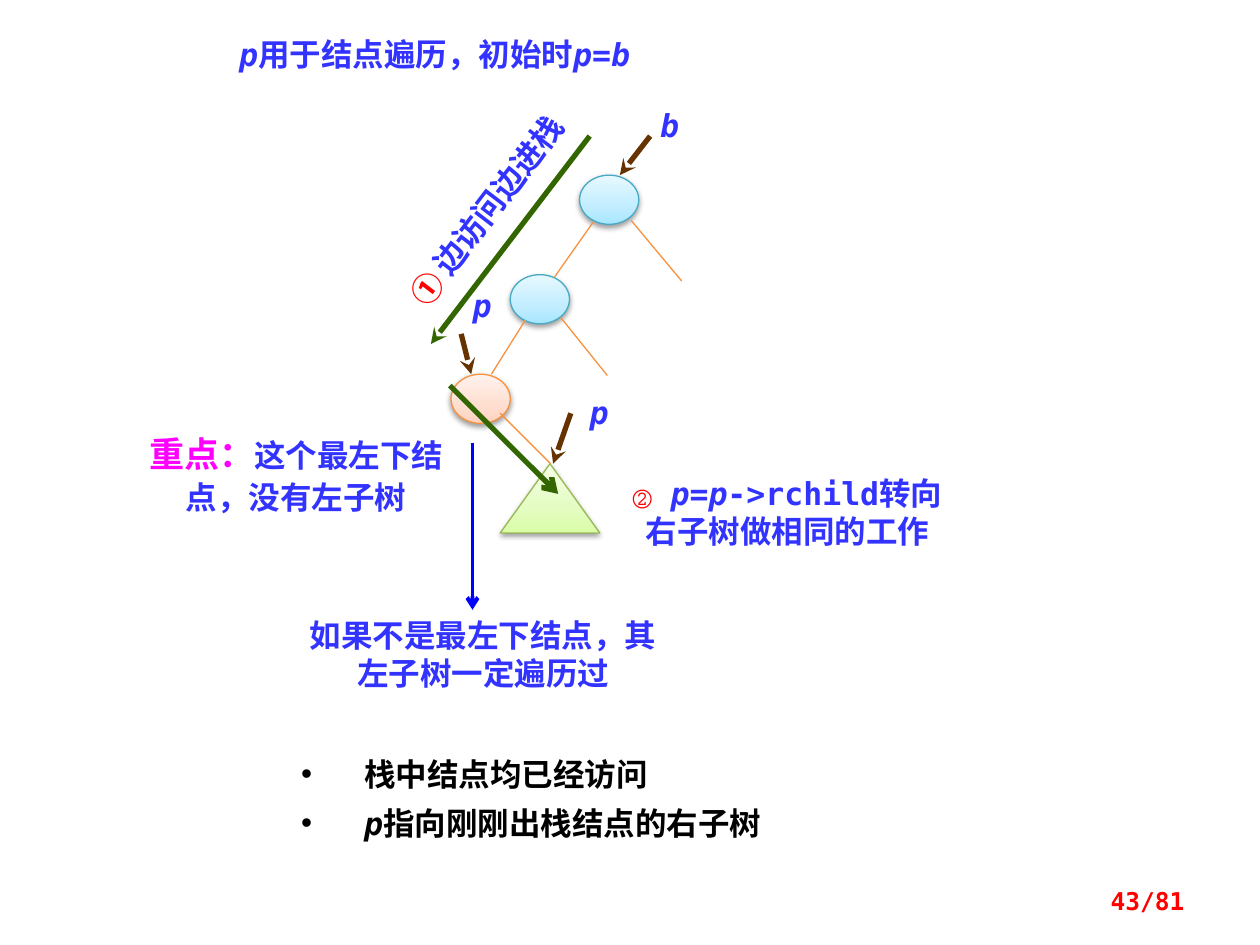
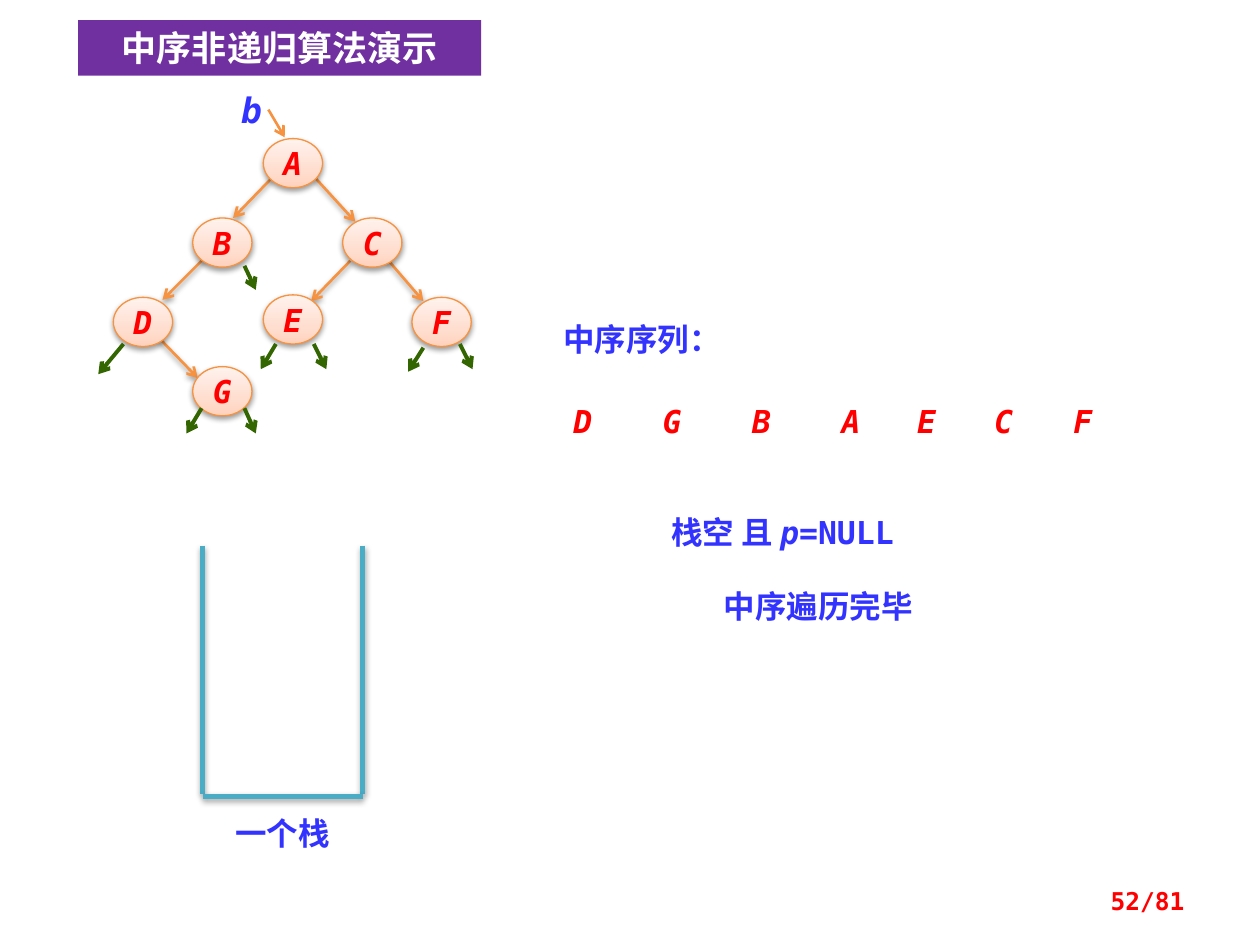
from dataclasses import dataclass, field
from lxml.etree import SubElement
from pptx import Presentation
from pptx.dml.color import RGBColor as RGB
from pptx.enum.shapes import MSO_CONNECTOR as LINK, MSO_SHAPE as FORM
from pptx.enum.text import MSO_ANCHOR as ANCHOR, PP_ALIGN as ALIGN
from pptx.oxml.ns import qn
from pptx.util import Inches, Pt


@dataclass(frozen=True)
class Theme:
    blue: str = "3333FF"
    red: str = "FF0000"
    pink: str = "FF00FF"
    black: str = "000000"
    white: str = "FFFFFF"
    band: str = "7030A0"
    brown: str = "663300"
    green: str = "336600"
    navy: str = "0000FF"
    edge: str = "F69240"
    teal: str = "4BACC6"
    sky: tuple = ("46AAC5", "A7E6FF", "C1EDFF", "E7F8FF")
    peach: tuple = ("F69240", "FFD2BD", "FFDED0", "FFF2ED")
    lime: tuple = ("98B955", "DAFDA7", "E4FCC2", "F5FFE7")
    latin: str = "DejaVu Sans Mono"
    asian: str = "Noto Sans CJK SC"
    body: int = 18
    head: int = 20
    foot: int = 14
    thin: float = 0.75


T = Theme()
FLUSH = (0, 0, 0, 0)
INSET = (0.1, 0.05, 0.1, 0.05)


@dataclass(frozen=True)
class Run:
    text: str
    color: str = T.blue
    italic: bool = False
    size: int = T.body


@dataclass(frozen=True)
class Note:
    box: tuple
    runs: tuple
    align: int = ALIGN.CENTER
    inset: tuple = INSET
    turn: float = 0
    anchor: int = ANCHOR.TOP


@dataclass(frozen=True)
class Node:
    box: tuple
    skin: tuple = T.peach
    form: int = FORM.OVAL
    name: str = ""


@dataclass(frozen=True)
class Look:
    color: str
    width: float
    tip: str = ""
    shade: int = 0


@dataclass(frozen=True)
class Line:
    look: Look
    ends: list = field(default_factory=list)


def var(text: str, color: str = T.blue, size: int = T.body) -> Run:
    return Run(text, color, True, size)


def tag(text: str, x: float, y: float, color: str = T.blue, wide: float = 0.31) -> Note:
    return Note((x, y, wide, 0.3), (var(text, color),), inset=FLUSH)


def tint(color: str) -> RGB:
    return RGB.from_string(color)


def cast(effects, alpha: int) -> None:
    shade = SubElement(effects, qn("a:outerShdw"), blurRad="40000", dist="20000",
                       dir="5400000", rotWithShape="0")
    tone = SubElement(shade, qn("a:srgbClr"), val=T.black)
    SubElement(tone, qn("a:alpha"), val=str(alpha * 1000))


def write(para, runs: tuple, align: int, pitch: float) -> None:
    para.alignment = align
    para.line_spacing = Pt(pitch)
    for item in runs:
        run = para.add_run()
        run.text = item.text
        style = {"name": T.latin, "size": Pt(item.size), "bold": True, "italic": item.italic}
        for key, value in style.items():
            setattr(run.font, key, value)
        run.font.color.rgb = tint(item.color)
        SubElement(run.font._element, qn("a:ea"), typeface=T.asian)


def frame(shape, inset: tuple, anchor: int, wrap: bool = True):
    left, top, right, base = map(Inches, inset)
    style = {"margin_left": left, "margin_top": top, "margin_right": right,
             "margin_bottom": base, "vertical_anchor": anchor, "word_wrap": wrap}
    for key, value in style.items():
        setattr(shape.text_frame, key, value)
    return shape.text_frame


def fit(shape, note: Note) -> None:
    pitch = 1.2 * max(run.size for run in note.runs)
    body = frame(shape, note.inset, note.anchor)
    write(body.paragraphs[0], note.runs, note.align, pitch)
    shape.rotation = note.turn


def draw_note(slide, note: Note) -> None:
    fit(slide.shapes.add_textbox(*map(Inches, note.box)), note)


def plate(slide, box: tuple, color: str):
    shape = slide.shapes.add_shape(FORM.RECTANGLE, *map(Inches, box))
    shape.shadow.inherit = False
    shape.fill.solid()
    shape.fill.fore_color.rgb = tint(color)
    shape.line.fill.background()
    return shape


def draw_node(slide, node: Node) -> None:
    shape = slide.shapes.add_shape(node.form, *map(Inches, node.box))
    rim, *stops = node.skin
    shape.fill.gradient()
    shape.fill.gradient_angle = 90
    steps = shape._element.spPr.find(qn("a:gradFill")).find(qn("a:gsLst"))
    for old in list(steps):
        steps.remove(old)
    for spot, color in zip((0, 35, 100), stops):
        stop = SubElement(steps, qn("a:gs"), pos=str(spot * 1000))
        SubElement(stop, qn("a:srgbClr"), val=color)
    shape.line.color.rgb = tint(rim)
    shape.line.width = Pt(T.thin)
    shape.shadow.inherit = False
    cast(shape._element.spPr.find(qn("a:effectLst")), 38)
    if node.name:
        body = frame(shape, INSET, ANCHOR.MIDDLE, False)
        write(body.paragraphs[0], (var(node.name, T.red),), ALIGN.CENTER, 1.2 * T.body)


def draw_line(slide, line: Line) -> None:
    look = line.look
    for ends in line.ends:
        link = slide.shapes.add_connector(LINK.STRAIGHT, *map(Inches, ends))
        link.line.color.rgb = tint(look.color)
        link.line.width = Pt(look.width)
        if look.tip:
            SubElement(link.line._get_or_add_ln(), qn("a:tailEnd"), type=look.tip)
        effects = SubElement(link._element.spPr, qn("a:effectLst"))
        if look.shade:
            cast(effects, look.shade)


def draw_list(slide, box: tuple, rows: tuple) -> None:
    body = frame(plate(slide, box, T.white), (0.2, 0.12, 0.1, 0.12), ANCHOR.TOP)
    for spot, runs in enumerate(rows):
        para = body.add_paragraph() if spot else body.paragraphs[0]
        props = para._p.get_or_add_pPr()
        props.set("marL", str(Inches(0.5)))
        props.set("indent", str(Inches(-0.5)))
        SubElement(props, qn("a:buFont"), typeface="Arial")
        SubElement(props, qn("a:buChar"), char="•")
        write(para, runs, ALIGN.LEFT, 28)


def start(deck, page: int):
    slide = deck.slides.add_slide(deck.slide_layouts[6])
    draw_note(slide, Note((7.17, 6.95, 2.33, 0.4), (Run(f"{page}/81", T.red, size=T.foot),),
                          ALIGN.RIGHT, anchor=ANCHOR.MIDDLE))
    return slide


def oval(x: float, y: float, skin: tuple = T.peach, name: str = "") -> Node:
    return Node((x, y, 0.47, 0.39), skin, name=name)


def build_walk(deck) -> None:
    slide = start(deck, 43)
    for node in (oval(4.6, 1.39, T.sky), oval(4.05, 2.18, T.sky), oval(3.58, 2.97),
                 Node((3.97, 3.68, 0.79, 0.55), T.lime, FORM.ISOSCELES_TRIANGLE)):
        draw_node(slide, node)
    lines = (
        Line(Look(T.edge, T.thin), [
            (4.71, 1.76, 4.4, 2.2), (4.17, 2.54, 3.9, 2.97), (5.01, 1.75, 5.41, 2.23),
            (3.97, 3.28, 4.37, 3.68), (4.45, 2.52, 4.82, 2.98)]),
        Line(Look(T.brown, 3, "stealth"), [
            (5.16, 1.08, 4.92, 1.39), (3.66, 2.65, 3.74, 2.97), (4.53, 3.28, 4.39, 3.68)]),
        Line(Look(T.green, 3, "stealth"), [(4.68, 1.08, 3.42, 2.73)]),
        Line(Look(T.green, 3, "arrow"), [(3.57, 3.06, 4.43, 3.92)]),
        Line(Look(T.navy, 2.25, "arrow"), [(3.75, 3.52, 3.75, 4.84)]),
    )
    for line in lines:
        draw_line(slide, line)
    notes = (
        tag("b", 5.16, 0.84), tag("p", 3.67, 2.27), tag("p", 4.6, 3.12),
        Note((1.8, 0.23, 4.49, 0.4), (var("p"), Run("用于结点遍历，初始时"), var("p"),
                                      Run("="), var("b")), ALIGN.LEFT),
        Note((1.09, 3.43, 2.52, 0.64), (Run("重点：", T.pink, size=T.head),
                                        Run("这个最左下结点，没有左子树")), inset=FLUSH),
        Note((2.5, 1.47, 2.72, 0.4), (Run("① ", T.red), Run("边访问边进栈")), turn=307.4),
        Note((4.92, 3.76, 2.66, 0.61), (Run("② ", T.red), var("p"), Run("="), var("p"),
                                        Run("->rchild转向右子树做相同的工作")), inset=FLUSH),
        Note((2.27, 4.84, 3.13, 0.71), (Run("如果不是最左下结点，其左子树一定遍历过"),)),
    )
    for note in notes:
        draw_note(slide, note)
    draw_list(slide, (2.19, 5.78, 4.22, 1.02), (
        (Run("栈中结点均已经访问", T.black),),
        (var("p", T.black), Run("指向刚刚出栈结点的右子树", T.black))))


def build_demo(deck) -> None:
    slide = start(deck, 52)
    left, right, top, base = 1.61, 2.88, 4.33, 6.3
    draw_line(slide, Line(Look(T.edge, 1.5, "arrow", 38), [
        (1.26, 2.68, 1.57, 3), (2.16, 1.41, 1.85, 1.73), (2.5, 1.41, 2.82, 1.76),
        (1.64, 2.03, 1.29, 2.38), (2.78, 2.07, 2.47, 2.39), (3.05, 2.03, 3.36, 2.39)]))
    tree = {"A": (2.09, 1.1), "B": (1.53, 1.73), "C": (2.72, 1.73), "D": (0.9, 2.36),
            "E": (2.09, 2.34), "G": (1.53, 2.91), "F": (3.27, 2.36)}
    for name, (x, y) in tree.items():
        draw_node(slide, oval(x, y, name=name))
    lines = (
        Line(Look(T.teal, 3, shade=35), [
            (left, top, left, base), (right, top, right, base),
            (left, base + 0.02, right, base + 0.02)]),
        Line(Look(T.green, 2.25, "arrow"), [
            (1.94, 3.24, 2.03, 3.44), (1.6, 3.24, 1.48, 3.44), (2.49, 2.73, 2.59, 2.93),
            (2.19, 2.73, 2.07, 2.93), (3.65, 2.73, 3.75, 2.93), (3.36, 2.76, 3.24, 2.95),
            (0.98, 2.73, 0.78, 2.97), (1.94, 2.11, 2.03, 2.3)]),
        Line(Look(T.edge, 1.5, "arrow"), [(2.13, 0.87, 2.26, 1.09)]),
    )
    for line in lines:
        draw_line(slide, line)
    for name, x in zip("DGBAECF", (4.39, 5.1, 5.81, 6.52, 7.12, 7.73, 8.36)):
        draw_note(slide, tag(name, x, 3.19, T.red, 0.47))
    title = Note((0.62, 0.16, 3.2, 0.44), (Run("中序非递归算法演示", T.white, size=T.head),))
    fit(plate(slide, title.box, T.band), title)
    notes = (
        Note((1.77, 6.41, 1.04, 0.4), (Run("一个栈"),), ALIGN.LEFT),
        Note((4.37, 2.49, 1.89, 0.4), (Run("中序序列："),), ALIGN.LEFT),
        Note((5, 4.61, 2.99, 0.4), (Run("中序遍历完毕"),)),
        Note((1.8, 0.7, 0.39, 0.34), (var("b", size=T.head),), inset=FLUSH),
        Note((5.23, 4.02, 2.5, 0.4), (Run("栈空 且 "), var("p"), Run("=NULL")), ALIGN.LEFT),
    )
    for note in notes:
        draw_note(slide, note)


def main() -> None:
    deck = Presentation()
    deck.slide_width, deck.slide_height = Inches(10), Inches(7.5)
    build_walk(deck)
    build_demo(deck)
    deck.save("out.pptx")


if __name__ == "__main__":
    main()
